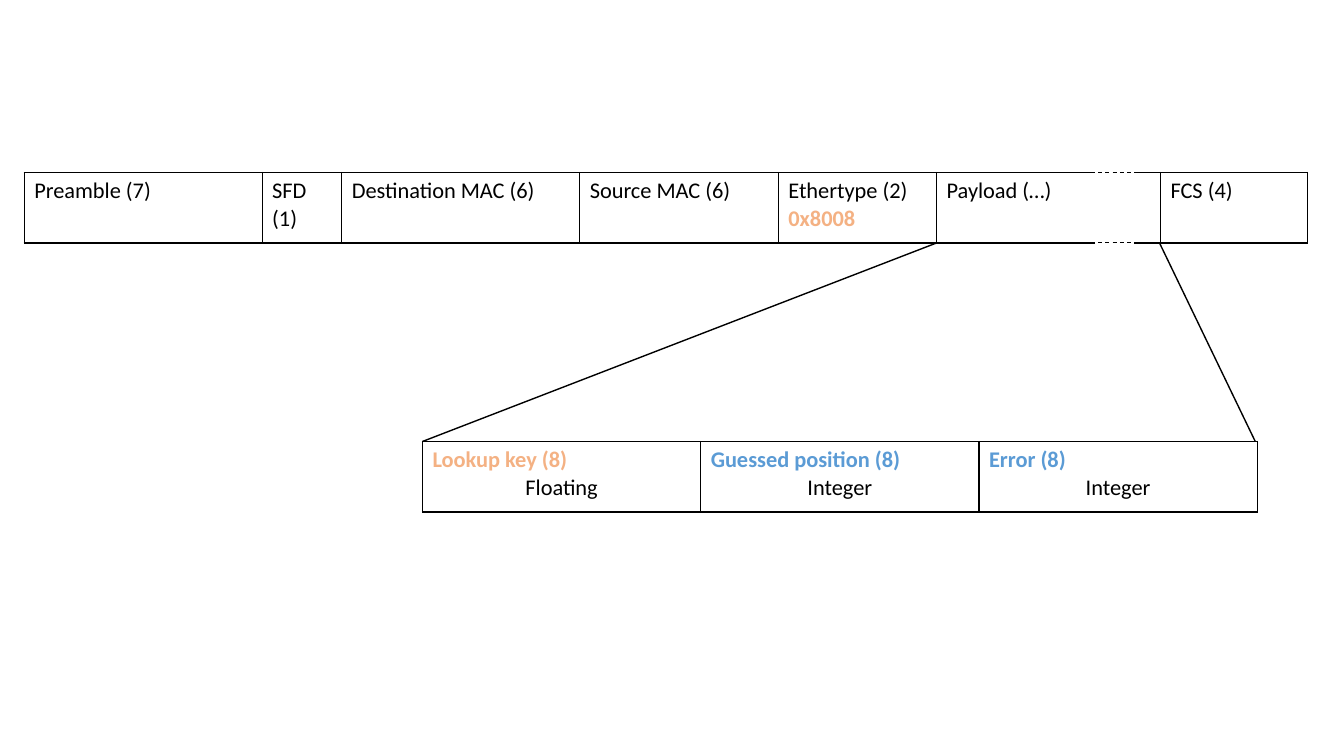
from pptx import Presentation
from pptx.dml.color import RGBColor
from pptx.enum.dml import MSO_LINE
from pptx.enum.shapes import MSO_CONNECTOR
from pptx.enum.text import PP_ALIGN
from pptx.oxml import parse_xml
from pptx.oxml.ns import nsdecls
from pptx.util import Inches, Pt
from lxml import etree

BLACK, ORANGE, BLUE = "000000", "F4B183", "5B9BD5"
FRAME_TOP, ROW_H, PAYLOAD_TOP = 1.71, 0.7, 4.38
FRAME_BOTTOM = FRAME_TOP + ROW_H

prs = Presentation()
prs.slide_width, prs.slide_height = Inches(13.33), Inches(7.5)
s = prs.slides.add_slide(prs.slide_layouts[6])


def add_text(p, text, color=BLACK, bold=False, align=None):
    p.alignment = align
    r = p.add_run()
    r.text = text
    r.font.name, r.font.size, r.font.bold = "Calibri", Pt(16), bold
    r.font.color.rgb = RGBColor.from_string(color)


def add_row(left, top, widths, borders):
    """Add a one-row table; borders holds the drawn sides of each cell."""
    table = s.shapes.add_table(1, len(widths), Inches(left), Inches(top),
                               Inches(sum(widths)), Inches(ROW_H)).table
    table.first_row = table.horz_banding = False
    table.rows[0].height = Inches(ROW_H)
    for col, cell, width, sides in zip(table.columns, table.rows[0].cells, widths, borders):
        col.width = Inches(width)
        cell.fill.background()
        tcPr = cell._tc.get_or_add_tcPr()
        for i, side in enumerate("LRTB"):
            fill = (f'<a:solidFill><a:srgbClr val="{BLACK}"/></a:solidFill>'
                    if side in sides else "<a:noFill/>")
            tcPr.insert(i, parse_xml(f'<a:ln{side} {nsdecls("a")} w="{Pt(1)}">{fill}</a:ln{side}>'))
    return [cell.text_frame.paragraphs[0] for cell in table.rows[0].cells]


# Ethernet frame up to the payload, which is open on the right
fields = [("Preamble (7)", 2.36), ("SFD (1)", 0.79), ("Destination MAC (6)", 2.36),
          ("Source MAC (6)", 1.97), ("Ethertype (2)", 1.57), ("Payload (…)", 1.57)]
cells = add_row(0.24, FRAME_TOP, [w for _, w in fields], ["LRTB"] * 5 + ["LTB"])
for p, (name, _) in zip(cells, fields):
    add_text(p, name)
ethertype = cells[4]
ethertype.add_line_break()
add_text(ethertype, "0x8008", color=ORANGE, bold=True)

# End of the payload and checksum
cells = add_row(11.25, FRAME_TOP, [0.26, 1.46], ["RTB", "LRTB"])
add_text(cells[1], "FCS (4)")

# Dashed gap in the payload, then the lines that enlarge it
lines = [(10.82, FRAME_TOP, 11.26, FRAME_TOP, 0.75, MSO_LINE.DASH),
         (10.82, FRAME_BOTTOM, 11.26, FRAME_BOTTOM, 0.75, MSO_LINE.DASH),
         (9.29, FRAME_BOTTOM, 4.19, PAYLOAD_TOP, 1, None),
         (11.5, FRAME_BOTTOM, 12.45, PAYLOAD_TOP, 1, None)]
for x1, y1, x2, y2, weight, dash in lines:
    line = s.shapes.add_connector(MSO_CONNECTOR.STRAIGHT, Inches(x1), Inches(y1),
                                  Inches(x2), Inches(y2))
    line.line.color.rgb = RGBColor.from_string(BLACK)
    line.line.width = Pt(weight)
    line.line.dash_style = dash
    etree.SubElement(line._element.spPr,
                     "{http://schemas.openxmlformats.org/drawingml/2006/main}effectLst")

# Payload contents
payload = [("Lookup key (8)", "Floating", ORANGE),
           ("Guessed position (8)", "Integer", BLUE),
           ("Error (8)", "Integer", BLUE)]
cells = add_row(4.19, PAYLOAD_TOP, [2.76] * 3, ["LRTB"] * 3)
for p, (name, kind, color) in zip(cells, payload):
    add_text(p, name, color=color, bold=True)
    # The type goes in a second paragraph of the same cell
    tf = p._parent
    add_text(tf.add_paragraph(), kind, align=PP_ALIGN.CENTER)

prs.save("out.pptx")
